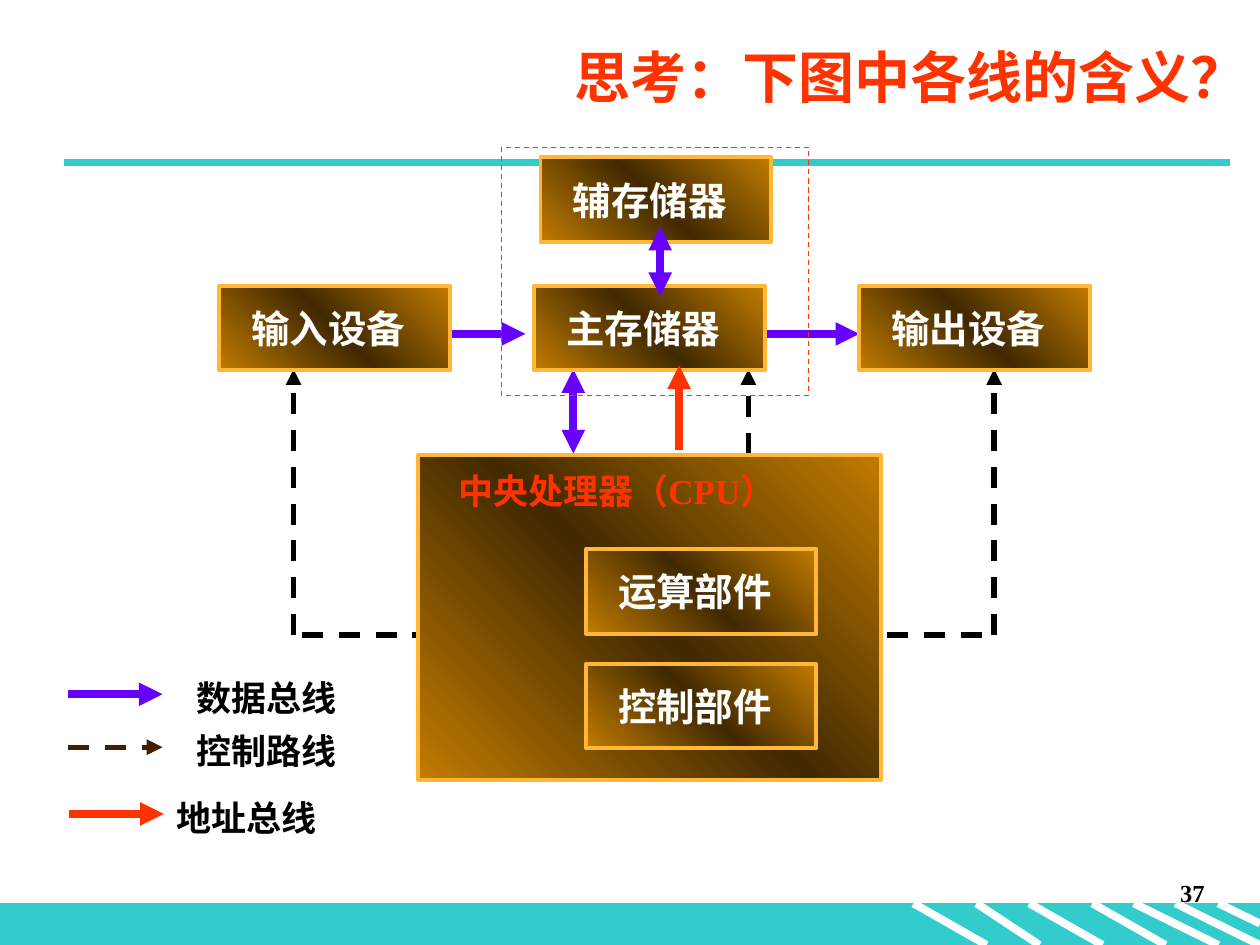
from copy import deepcopy
from pptx import Presentation, util as u
from pptx.dml.color import RGBColor
from pptx.enum import dml, shapes, text
from pptx.oxml.ns import qn
from lxml import etree

TEAL, WHITE, BLACK = "33CCCC", "FFFFFF", "000000"
PURPLE, RED, BROWN = "6600FF", "FF3300", "402000"
GOLD, DARK, EDGE = "C27C00", "412900", "FFB735"
SERIF, SANS = "Times New Roman", "Noto Sans CJK SC"
WIDTH, HEIGHT = 10, 7.5
UNIT_W, UNIT_H = 1.83, 0.67
BAND_TOP = 7.17
DEVICE_TOP = 2.27
CPU = (3.32, 3.61, 3.67, 2.58)
BUS_Y, BUS_TOP, BUS_BOTTOM = 2.65, 2.93, 3.6
CONTROL_Y = 5.04

title = "思考：下图中各线的含义？"
stripes = [(7.75, 8.25, 7.5), (7.25, 7.83, 7.5), (8.17, 8.75, 7.5), (9.33, 10, 7.5),
           (9, 9.67, 7.5), (9.67, 10, 7.33), (8.67, 9.25, 7.5)]
devices = [("输入设备", 1.74, DEVICE_TOP), ("输出设备", 6.82, DEVICE_TOP),
           ("主存储器", 4.24, DEVICE_TOP)]
cpu_parts = [("运算部件", 4.65, 4.36), ("控制部件", 4.65, 5.27)]
aux_memory = ("辅存储器", 4.29, 1.25)
data_buses = [((3.57, BUS_Y), (4.17, BUS_Y), "tail"),
              ((6.05, BUS_Y), (6.82, BUS_Y), "tail"),
              ((4.55, BUS_BOTTOM), (4.55, BUS_TOP), "both")]
control_lines = [((3.44, CONTROL_Y), (2.33, CONTROL_Y), ""),
                 ((7.04, CONTROL_Y), (7.89, CONTROL_Y), ""),
                 ((2.33, CONTROL_Y), (2.33, BUS_TOP), "tail"),
                 ((7.89, CONTROL_Y), (7.89, BUS_TOP), "tail"),
                 ((5.94, BUS_BOTTOM), (5.94, BUS_TOP), "tail")]
legend = [("数据总线", 0.54, 5.51, 1.46, PURPLE, 4.5, False),
          ("控制路线", 0.54, 5.93, 1.46, BROWN, 3, True),
          ("地址总线", 0.55, 6.46, 1.3, RED, 4.5, False)]

deck = Presentation()
deck.slide_width, deck.slide_height = u.Inches(WIDTH), u.Inches(HEIGHT)
slide = deck.slides.add_slide(deck.slide_layouts[6])


def rgb(value):
    return RGBColor.from_string(value)


def inches(*values):
    return [u.Inches(value) for value in values]


def line(start, end, color, width, ends="", dashed=False):
    link = slide.shapes.add_connector(shapes.MSO_CONNECTOR.STRAIGHT, *inches(*start, *end))
    link.line.color.rgb = rgb(color)
    link.line.width = u.Pt(width)
    if dashed:
        link.line.dash_style = dml.MSO_LINE.DASH
    properties = link._element.spPr
    stroke = properties.find(qn("a:ln"))
    for end_name, kinds in (("headEnd", ["both"]), ("tailEnd", ["both", "tail"])):
        if ends in kinds:
            etree.SubElement(stroke, qn("a:" + end_name), type="triangle")
    etree.SubElement(properties, qn("a:effectLst"))


def box(place, edge, edge_width):
    panel = slide.shapes.add_shape(shapes.MSO_SHAPE.RECTANGLE, *inches(*place))
    panel.shadow.inherit = False
    panel.line.color.rgb = rgb(edge)
    panel.line.width = u.Pt(edge_width)
    return panel


def golden_box(place):
    panel = box(place, EDGE, 2.25)
    panel.fill.gradient()
    panel.fill.gradient_angle = 45
    stops = panel._element.spPr.find(".//" + qn("a:gsLst"))
    stops.insert(1, deepcopy(stops[0]))
    for stop, color, position in zip(panel.fill.gradient_stops, (GOLD, DARK, GOLD), (0, 0.5, 1)):
        stop.color.rgb = rgb(color)
        stop.position = position
    return panel


def write(frame, words, size, color, align, font=SERIF):
    frame.word_wrap = True
    paragraph = frame.paragraphs[0]
    paragraph.text = words
    paragraph.alignment = align
    paragraph.font.name = font
    paragraph.font.size = u.Pt(size)
    paragraph.font.bold = True
    paragraph.font.color.rgb = rgb(color)


def label(place, *style):
    frame = slide.shapes.add_textbox(*inches(*place)).text_frame
    write(frame, *style)
    return frame


def unit(name, left, top):
    frame = golden_box((left, top, UNIT_W, UNIT_H)).text_frame
    frame.margin_left, frame.margin_right = inches(0, 0.1)
    frame.vertical_anchor = text.MSO_ANCHOR.MIDDLE
    write(frame, name, 22, WHITE, text.PP_ALIGN.CENTER)


band = box((0, BAND_TOP, WIDTH, HEIGHT - BAND_TOP), TEAL, 0.75)
band.fill.solid()
band.fill.fore_color.rgb = rgb(TEAL)
for left, right, bottom in stripes:
    line((left, BAND_TOP), (right, bottom), WHITE, 4.5)
line((0.51, 1.29), (9.76, 1.29), TEAL, 4.5)
label((7.58, 6.92, 2.08, 0.5), "37", 14, BLACK, text.PP_ALIGN.RIGHT)

for start, end, ends in data_buses:
    line(start, end, PURPLE, 4.5, ends)
for start, end, ends in control_lines:
    line(start, end, BLACK, 3, ends, True)
for device in devices:
    unit(*device)

golden_box(CPU)
label((3.49, 3.68, 2.81, 0.43), "中央处理器（CPU）", 20, RED, text.PP_ALIGN.CENTER)
for part in cpu_parts:
    unit(*part)

line((5.39, 3.57), (5.39, 2.9), RED, 4.5, "tail")
unit(*aux_memory)
line((5.24, 2.35), (5.24, 1.8), PURPLE, 4.5, "both")
memory_frame = box((3.98, 1.17, 2.44, 1.97), RED, 0.75)
memory_frame.fill.background()
memory_frame.line.dash_style = dml.MSO_LINE.DASH

for name, left, y, name_left, color, width, dashed in legend:
    line((left, y), (left + 0.75, y), color, width, "tail", dashed)
    label((name_left, y - 0.19, 3, 0.43), name, 20, BLACK, text.PP_ALIGN.LEFT, SANS)

heading = label((1.5, 0.21, 8.5, 0.79), title, 32, RED, text.PP_ALIGN.RIGHT)
heading.vertical_anchor = text.MSO_ANCHOR.MIDDLE

deck.save("out.pptx")
